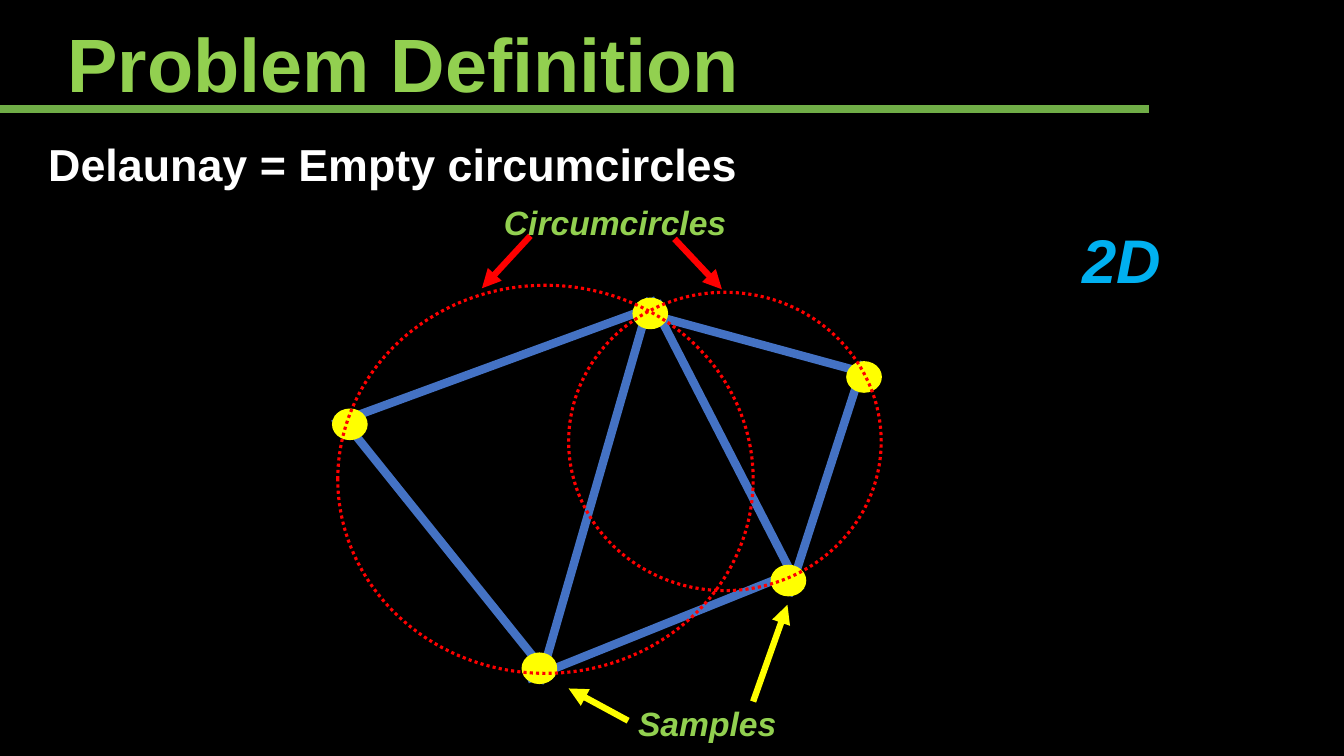
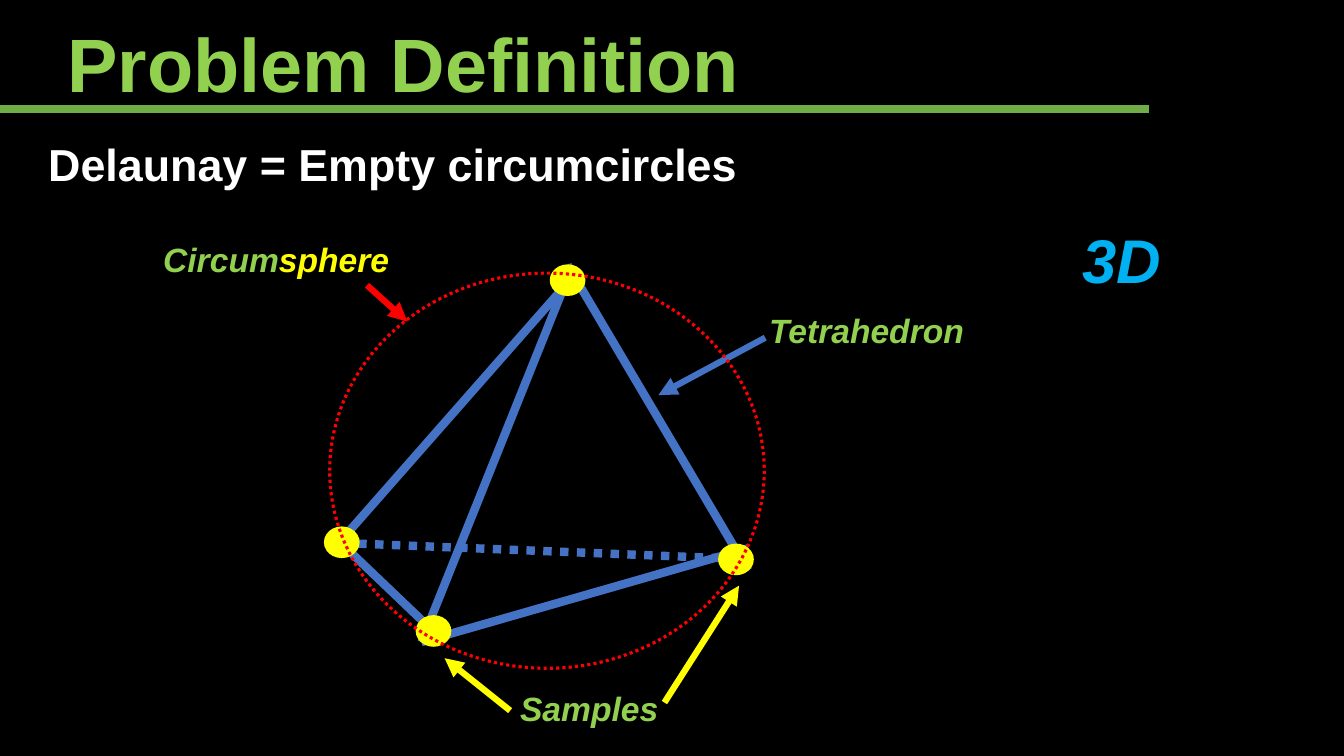
from dataclasses import dataclass

from lxml import etree
from pptx import Presentation
from pptx.dml.color import RGBColor
from pptx.enum.dml import MSO_LINE
from pptx.enum.shapes import MSO_CONNECTOR, MSO_SHAPE
from pptx.oxml.ns import qn
from pptx.util import Inches, Pt

STRAIGHT = MSO_CONNECTOR.STRAIGHT
ELLIPSE = MSO_SHAPE.OVAL
DOTTED = MSO_LINE.ROUND_DOT


@dataclass(frozen=True)
class Theme:
    font: str = "Arial"
    background: str = "000000"
    rule: str = "70AD47"
    accent: str = "92D050"
    body: str = "FFFFFF"
    edge: str = "4472C4"
    sample: str = "FFFF00"
    circle: str = "FF0000"
    dimension: str = "00B0F0"
    title_size: int = 54
    body_size: int = 32
    dimension_size: int = 44
    label_size: int = 24
    edge_width: float = 6
    arrow_width: float = 4.5
    circle_width: float = 2.25


THEME = Theme()

# Content: points are (x, y), boxes are (left, top, width, height), in inches
TITLE = "Problem Definition"
STATEMENT = "Delaunay = Empty circumcircles"
SAMPLE_SIZE = (0.34, 0.3)

SLIDES = [
    {
        "dimension": "2D",
        "hidden_edges": [],
        "edges": [
            ((7.94, 5.65), (5.23, 6.74)),
            ((6.45, 2.96), (5.35, 6.78)),
            ((3.35, 4.1), (5.47, 6.74)),
            ((3.3, 4.21), (6.57, 3.01)),
            ((7.94, 5.86), (6.45, 2.96)),
            ((7.82, 5.91), (8.57, 3.59)),
            ((6.45, 3.12), (8.73, 3.74)),
        ],
        "samples": [(3.3, 4.06), (6.28, 2.96), (5.18, 6.48), (7.65, 5.61), (8.4, 3.59)],
        "circles": [(5.64, 2.9, 3.1, 2.96), (3.35, 2.83, 4.12, 3.85)],
        "arrows": [
            ((6.23, 7.15), (5.64, 6.83), THEME.sample),
            ((7.47, 6.96), (7.81, 6), THEME.sample),
            ((6.69, 2.37), (7.16, 2.87), THEME.circle),
            ((5.26, 2.34), (4.78, 2.86), THEME.circle),
        ],
        "labels": [
            ([("Samples", THEME.accent)], (6.23, 6.92, 1.92, 0.46)),
            ([("Circumcircles", THEME.accent)], (4.9, 1.95, 4.24, 0.46)),
        ],
    },
    {
        "dimension": "3D",
        "hidden_edges": [((3.22, 5.38), (7.47, 5.55))],
        "edges": [
            ((7.42, 5.44), (4.18, 6.37)),
            ((5.68, 2.63), (4.18, 6.37)),
            ((3.27, 5.28), (4.41, 6.37)),
            ((3.27, 5.49), (5.75, 2.67)),
            ((7.42, 5.66), (5.63, 2.63)),
        ],
        "samples": [(3.22, 5.23), (5.46, 2.63), (4.13, 6.11), (7.13, 5.4)],
        "circles": [(3.27, 2.71, 4.31, 3.92)],
        "arrows": [
            ((5.06, 7.05), (4.41, 6.53), THEME.sample),
            ((6.59, 6.97), (7.33, 5.81), THEME.sample),
            ((3.64, 2.83), (4.04, 3.19), THEME.circle),
            ((7.59, 3.35), (6.53, 3.92), THEME.edge),
        ],
        "labels": [
            ([("Samples", THEME.accent)], (5.06, 6.78, 1.92, 0.46)),
            ([("Circum", THEME.accent), ("sphere", THEME.sample)], (1.52, 2.32, 4.24, 0.5)),
            ([("Tetrahedron", THEME.accent)], (7.53, 3.03, 3.31, 0.5)),
        ],
    },
]


def color(value):
    return RGBColor.from_string(value)


# Drawing helpers
def add_text(page, spans, place, size, italic=False):
    """Write one bold paragraph from (text, colour) spans."""
    box = page.shapes.add_textbox(*map(Inches, place))
    box.text_frame.word_wrap = True
    para = box.text_frame.paragraphs[0]
    for text, ink in spans:
        span = para.add_run()
        span.text = text
        span.font.name = THEME.font
        span.font.size = Pt(size)
        span.font.bold = True
        span.font.italic = italic
        span.font.color.rgb = color(ink)


def add_line(page, start, end, ink, width, dash=None, arrow=False):
    line = page.shapes.add_connector(STRAIGHT, *map(Inches, start + end))
    line.line.color.rgb = color(ink)
    line.line.width = Pt(width)
    if dash is not None:
        line.line.dash_style = dash
    if arrow:
        outline = line.line._get_or_add_ln()
        etree.SubElement(outline, qn("a:tailEnd"), type="triangle")
    etree.SubElement(line._element.spPr, qn("a:effectLst"))


def add_ellipse(page, place, ink, width, filled=True):
    ellipse = page.shapes.add_shape(ELLIPSE, *map(Inches, place))
    ellipse.shadow.inherit = False
    ellipse.line.color.rgb = color(ink)
    ellipse.line.width = Pt(width)
    if filled:
        ellipse.fill.solid()
        ellipse.fill.fore_color.rgb = color(ink)
    else:
        ellipse.fill.background()
        ellipse.line.dash_style = DOTTED


# Parts shared by every slide
def add_page(deck, dimension):
    page = deck.slides.add_slide(deck.slide_layouts[6])
    page.background.fill.solid()
    page.background.fill.fore_color.rgb = color(THEME.background)
    add_line(page, (0, 1.08), (11.4, 1.08), THEME.rule, 6)
    add_text(page, [(TITLE, THEME.accent)], (0.57, 0.12, 7.62, 0.92), THEME.title_size)
    add_text(page, [(STATEMENT, THEME.body)], (0.38, 1.31, 9.13, 0.64), THEME.body_size)
    add_text(page, [(dimension, THEME.dimension)], (10.64, 2.15, 1.17, 0.84),
             THEME.dimension_size, italic=True)
    return page


# Triangulation with its circles, arrows and labels
def add_diagram(page, content):
    for start, end in content["hidden_edges"]:
        add_line(page, start, end, THEME.edge, THEME.edge_width, dash=DOTTED)
    for start, end in content["edges"]:
        add_line(page, start, end, THEME.edge, THEME.edge_width)
    for corner in content["samples"]:
        add_ellipse(page, corner + SAMPLE_SIZE, THEME.sample, 1)
    for start, end, ink in content["arrows"]:
        add_line(page, start, end, ink, THEME.arrow_width, arrow=True)
    for place in content["circles"]:
        add_ellipse(page, place, THEME.circle, THEME.circle_width, filled=False)
    for spans, place in content["labels"]:
        add_text(page, spans, place, THEME.label_size, italic=True)


def main():
    deck = Presentation()
    deck.slide_width = Inches(13.33)
    deck.slide_height = Inches(7.5)
    for content in SLIDES:
        add_diagram(add_page(deck, content["dimension"]), content)
    deck.save("out.pptx")


if __name__ == "__main__":
    main()
